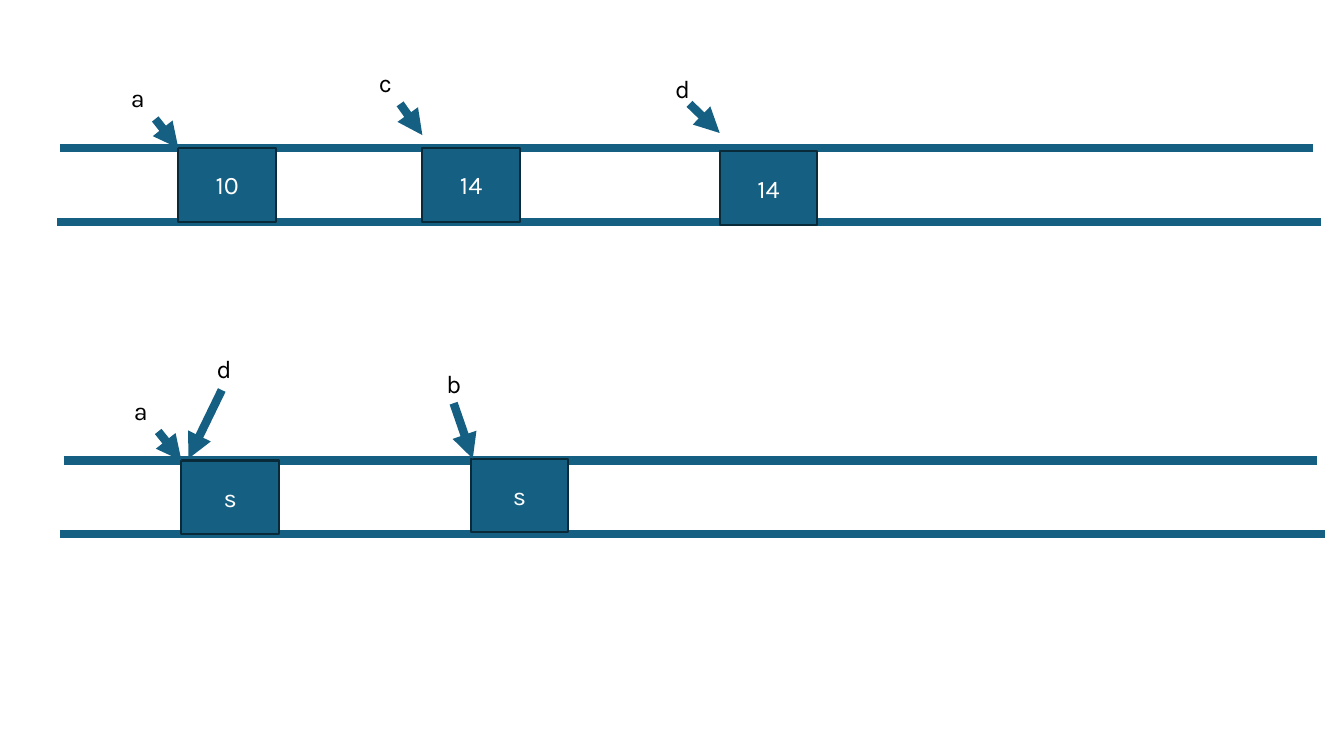
from lxml import etree
from pptx import Presentation
from pptx.dml.color import RGBColor
from pptx.enum.shapes import MSO_CONNECTOR, MSO_SHAPE
from pptx.enum.text import MSO_ANCHOR, MSO_AUTO_SIZE, PP_ALIGN
from pptx.oxml.ns import qn
from pptx.util import Pt

STRAIGHT = MSO_CONNECTOR.STRAIGHT
RECT = MSO_SHAPE.RECTANGLE
MIDDLE = MSO_ANCHOR.MIDDLE
GROW = MSO_AUTO_SIZE.SHAPE_TO_FIT_TEXT
CENTER, LEFT = PP_ALIGN.CENTER, PP_ALIGN.LEFT

BLUE = RGBColor(0x15, 0x60, 0x82)
NAVY = RGBColor(0x09, 0x2A, 0x39)
WHITE = RGBColor(0xFF, 0xFF, 0xFF)
BLACK = RGBColor(0, 0, 0)

FONT = {"name": "Karla", "size": Pt(18)}
BOX_W, BOX_H = 69.8, 52.6
TAG_W, TAG_H = 24.5, 28.8

deck = Presentation()
deck.slide_width, deck.slide_height = Pt(960), Pt(540)
slide = deck.slides.add_slide(deck.slide_layouts[6])
shapes = slide.shapes


def add_line(x1, y1, x2, y2, arrow=False):
    line = shapes.add_connector(STRAIGHT, Pt(x1), Pt(y1), Pt(x2), Pt(y2))
    line.line.color.rgb = BLUE
    line.line.width = Pt(6)
    if arrow:
        etree.SubElement(line.line._get_or_add_ln(), qn("a:tailEnd"), type="triangle")
    etree.SubElement(line._element.spPr, qn("a:effectLst"))


def set_text(shape, text, color, align, frame):
    for key, value in frame.items():
        setattr(shape.text_frame, key, value)
    para = shape.text_frame.paragraphs[0]
    para.alignment = align
    run = para.add_run()
    run.text = text
    for key, value in FONT.items():
        setattr(run.font, key, value)
    run.font.color.rgb = color


# Memory bands: two rails each
for dx, dy in [(0, 0), (2.2, 223.2)]:
    add_line(43.2 + dx, 105.8 + dy, 938.2 + dx, 105.8 + dy)
    add_line(41 + dx, 158.4 + dy, 943.9 + dx, 158.4 + dy)

# Value boxes
boxes = [
    ("10", 127.4, 105.8), ("14", 301.7, 105.8), ("14", 514.1, 108),
    ("s", 129.6, 329), ("s", 336.2, 327.6),
]
for text, x, y in boxes:
    box = shapes.add_shape(RECT, Pt(x), Pt(y), Pt(BOX_W), Pt(BOX_H))
    box.shadow.inherit = False
    box.fill.solid()
    box.fill.fore_color.rgb = BLUE
    box.line.color.rgb = NAVY
    box.line.width = Pt(1.5)
    set_text(box, text, WHITE, CENTER, {"vertical_anchor": MIDDLE})

# Variable names, each with the arrow to its box
names = [
    ("a", 86.4, 55.4, (110.9, 85, 127.4, 105.8)),
    ("c", 263.5, 44.6, (285.8, 74.2, 301.7, 96.5)),
    ("d", 475.2, 49, (492.5, 74.2, 514.1, 95)),
    ("a", 88.6, 278.6, (113, 308.2, 129.6, 329)),
    ("d", 147.6, 249.1, (158.4, 278.6, 134.6, 327.6)),
    ("b", 311.8, 259.2, (324, 288, 337.7, 327.6)),
]
for text, x, y, ends in names:
    tag = shapes.add_textbox(Pt(x), Pt(y), Pt(TAG_W), Pt(TAG_H))
    set_text(tag, text, BLACK, LEFT, {"word_wrap": False, "auto_size": GROW})
    add_line(*ends, arrow=True)

deck.save("out.pptx")
